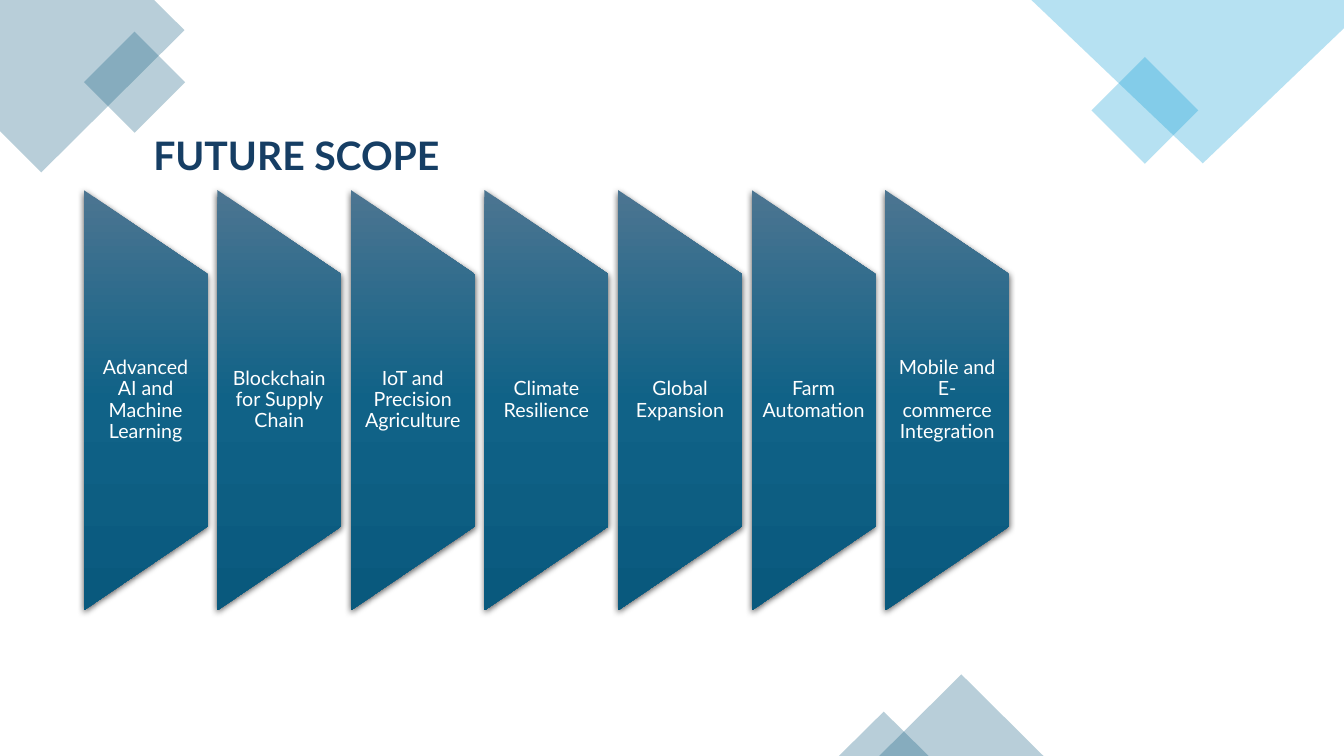
"""Build the Future Scope slide with seven panels and corner diamonds."""
from lxml import etree
from pptx import Presentation, util as u
from pptx.dml.color import RGBColor
from pptx.enum import shapes, text
from pptx.oxml import parse_xml
from pptx.oxml.ns import qn

TITLE = "FUTURE SCOPE"
LABELS = [
    "Advanced AI and Machine Learning",
    "Blockchain for Supply Chain",
    "IoT and Precision Agriculture",
    "Climate Resilience",
    "Global Expansion",
    "Farm Automation",
    "Mobile and E-commerce Integration",
]
COLORS = {"navy": "163E64", "teal": "156082", "sky": "0F9ED5",
          "white": "FFFFFF", "black": "000000",
          "light": "4C7591", "mid": "106287", "dark": "09597D"}
CORNERS = [
    ("teal", [(1.53, 0), (0, 0), (0, 1.3), (0.41, 1.71), (1.83, 0.3)]),
    ("sky", [(13.33, 0), (10.23, 0), (11.93, 1.62), (13.33, 0.28)]),
]
KIND = shapes.MSO_SHAPE
PIECES = [
    (KIND.RECTANGLE, "teal", 315, (0.98, 0.46, 0.71, 0.71)),
    (KIND.RECTANGLE, "sky", 315, (10.98, 0.72, 0.75, 0.75)),
    (KIND.ISOSCELES_TRIANGLE, "teal", 0, (8.72, 6.69, 1.63, 0.81)),
    (KIND.ISOSCELES_TRIANGLE, "teal", 0, (8.32, 7.06, 0.89, 0.44)),
]
LEFT, MID, STEP = 0.83, 3.97, 1.325
WIDE, TALL, TEXT_H = 1.23, 4.17, 2.5
NS = 'xmlns:a="http://schemas.openxmlformats.org/drawingml/2006/main"'


def inch(vals):
    return [u.Inches(v) for v in vals]


def tint(shape, color):
    shape.shadow.inherit = False
    shape.line.fill.background()
    shape.fill.solid()
    shape.fill.fore_color.rgb = RGBColor.from_string(COLORS[color])
    node = shape.fill._xPr.find(".//" + qn("a:srgbClr"))
    etree.SubElement(node, qn("a:alpha")).set("val", "30000")


def shade(shape):
    shape.line.fill.background()
    stops = "".join(
        f'<a:gs pos="{pos}"><a:srgbClr val="{COLORS[name]}"/></a:gs>'
        for pos, name in ((0, "light"), (50000, "mid"), (100000, "dark")))
    props = shape._element.spPr
    props.find(qn("a:ln")).addprevious(parse_xml(
        f'<a:gradFill {NS} rotWithShape="0"><a:gsLst>{stops}</a:gsLst>'
        '<a:lin ang="5400000" scaled="0"/></a:gradFill>'))
    props.append(parse_xml(
        f'<a:effectLst {NS}><a:outerShdw blurRad="{u.Pt(4.5)}" '
        f'dist="{u.Pt(1.5)}" dir="5400000" algn="ctr" rotWithShape="0">'
        f'<a:srgbClr val="{COLORS["black"]}"><a:alpha val="63000"/>'
        '</a:srgbClr></a:outerShdw></a:effectLst>'))


def write(shape, words, size, color, bold=False, align=text.PP_ALIGN.LEFT,
          anchor=text.MSO_ANCHOR.TOP, space=1.0, pad=0.05):
    frame = shape.text_frame
    frame.word_wrap = True
    frame.auto_size = text.MSO_AUTO_SIZE.NONE
    frame.vertical_anchor = anchor
    frame.margin_left = frame.margin_right = u.Inches(0.1)
    frame.margin_top = frame.margin_bottom = u.Inches(pad)
    para = frame.paragraphs[0]
    para.text = words
    para.alignment = align
    para.line_spacing = space
    para.space_before = u.Pt(0)
    font = para.runs[0].font
    font.name, font.size, font.bold = "Lato", u.Pt(size), bold
    font.color.rgb = RGBColor.from_string(COLORS[color])


def main():
    deck = Presentation()
    deck.slide_width, deck.slide_height = inch((13.33, 7.5))
    slide = deck.slides.add_slide(deck.slide_layouts[5])
    items = slide.shapes

    for color, points in CORNERS:
        first, *rest = [inch(p) for p in points]
        path = items.build_freeform(*first)
        path.add_line_segments(rest)
        tint(path.convert_to_shape(), color)
    for kind, color, turn, box in PIECES:
        piece = items.add_shape(kind, *inch(box))
        piece.rotation = turn
        tint(piece, color)

    for i, label in enumerate(LABELS):
        x = LEFT + i * STEP
        panel = items.add_shape(
            KIND.FLOWCHART_MANUAL_OPERATION,
            *inch((x + (WIDE - TALL) / 2, MID - WIDE / 2, TALL, WIDE)))
        panel.rotation = 270
        shade(panel)
        box = items.add_textbox(*inch((x, MID - TEXT_H / 2, WIDE, TEXT_H)))
        write(box, label, 14, "white", align=text.PP_ALIGN.CENTER,
              anchor=text.MSO_ANCHOR.MIDDLE, space=0.9, pad=0)

    title = items.title
    title.left, title.top, title.width, title.height = inch(
        (1.42, 1.25, 6.17, 0.57))
    write(title, TITLE, 28, "navy", bold=True)
    deck.save("out.pptx")


if __name__ == "__main__":
    main()
